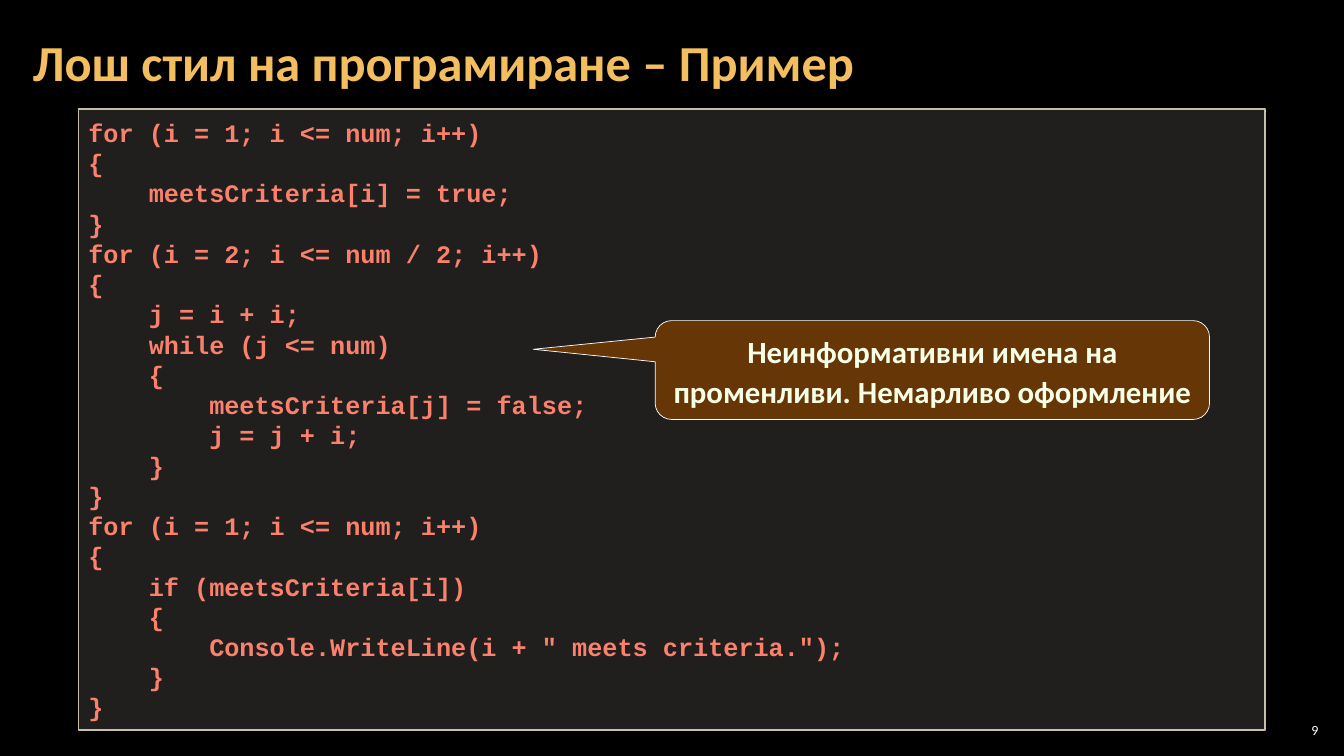
"""Build a slide that shows badly styled code with a callout."""
import pptx
import pptx.util
import pptx.dml.color
import pptx.enum.shapes
import pptx.enum.text
import pptx.oxml.ns
import lxml.etree

Pt = pptx.util.Pt
RGB = pptx.dml.color.RGBColor
Align = pptx.enum.text.PP_ALIGN
Shape = pptx.enum.shapes.MSO_SHAPE

BLACK = RGB(0x00, 0x00, 0x00)
WHITE = RGB(0xFF, 0xFF, 0xFF)
GOLD = RGB(0xF3, 0xBE, 0x60)
SAND = RGB(0xD9, 0xD5, 0xC7)
STONE = RGB(0xC7, 0xBF, 0xAC)
CORAL = RGB(0xFB, 0x81, 0x6D)
BROWN = RGB(0x66, 0x36, 0x06)
CREAM = RGB(0xF7, 0xFF, 0xE7)

CODE = '''for (i = 1; i <= num; i++)
{
    meetsCriteria[i] = true;
}
for (i = 2; i <= num / 2; i++)
{
    j = i + i;
    while (j <= num)
    {
        meetsCriteria[j] = false;
        j = j + i;
    }
}
for (i = 1; i <= num; i++)
{
    if (meetsCriteria[i])
    {
        Console.WriteLine(i + " meets criteria.");
    }
}'''


class Deck:
    font = "Calibri"
    mono = "Courier New"

    def __init__(self, width, height):
        self.show = pptx.Presentation()
        self.show.slide_width = Pt(width)
        self.show.slide_height = Pt(height)
        self.slide = self.show.slides.add_slide(self.show.slide_layouts[5])
        back = self.slide.background.fill
        back.solid()
        back.fore_color.rgb = BLACK

    def words(self, shape, text, size, color, font=font, bold=True,
              align=Align.LEFT, space=None, inset=(7.2, 3.6)):
        frame = shape.text_frame
        frame.word_wrap = True
        frame.auto_size = pptx.enum.text.MSO_AUTO_SIZE.NONE
        frame.vertical_anchor = pptx.enum.text.MSO_ANCHOR.MIDDLE
        frame.margin_left = frame.margin_right = Pt(inset[0])
        frame.margin_top = frame.margin_bottom = Pt(inset[1])
        for index, line in enumerate(text.split("\n")):
            para = frame.add_paragraph() if index else frame.paragraphs[0]
            para.alignment = align
            para.line_spacing = space
            run = para.add_run()
            run.text = line
            run.font.name = font
            run.font.size = Pt(size)
            run.font.bold = bold
            run.font.color.rgb = color

    def title(self, box, text):
        shape = self.slide.shapes.title
        shape.left, shape.top, shape.width, shape.height = map(Pt, box)
        self.words(shape, text, 36, GOLD, space=0.9, inset=(8.5, 2.8))

    def label(self, box, text):
        shape = self.slide.shapes.add_textbox(*map(Pt, box))
        self.words(shape, text, 10, WHITE, bold=False, align=Align.RIGHT,
                   inset=(2.8, 2.8))

    def panel(self, kind, box, fill, line, weight):
        shape = self.slide.shapes.add_shape(kind, *map(Pt, box))
        shape.shadow.inherit = False
        shape.fill.solid()
        shape.fill.fore_color.rgb = fill
        shape.line.color.rgb = line
        shape.line.width = Pt(weight)
        return shape

    def code(self, box, text):
        shape = self.panel(Shape.RECTANGLE, box, SAND, STONE, 1)
        qn = pptx.oxml.ns.qn
        solid = shape.element.spPr.find(qn("a:solidFill"))
        tint = solid.find(qn("a:srgbClr"))
        lxml.etree.SubElement(tint, qn("a:alpha"), val="15000")
        self.words(shape, text, 18, CORAL, font=self.mono, space=Pt(21.6))

    def callout(self, box, text, tip):
        shape = self.panel(Shape.ROUNDED_RECTANGULAR_CALLOUT, box,
                           BROWN, WHITE, 0.5)
        shape.adjustments[0], shape.adjustments[1] = tip
        self.words(shape, text, 22, CREAM, align=Align.CENTER, space=Pt(28))


def main():
    deck = Deck(960, 540)
    deck.label((910.8, 514, 33.8, 15), "9")
    deck.title((15, 3, 754, 87), "Лош стил на програмиране – Пример")
    deck.code((56, 78, 847.5, 443.5), CODE)
    deck.callout((468, 229, 396, 70.6),
                 "Неинформативни имена на променливи. Немарливо оформление",
                 (-0.72, -0.21))
    deck.show.save("out.pptx")


if __name__ == "__main__":
    main()
